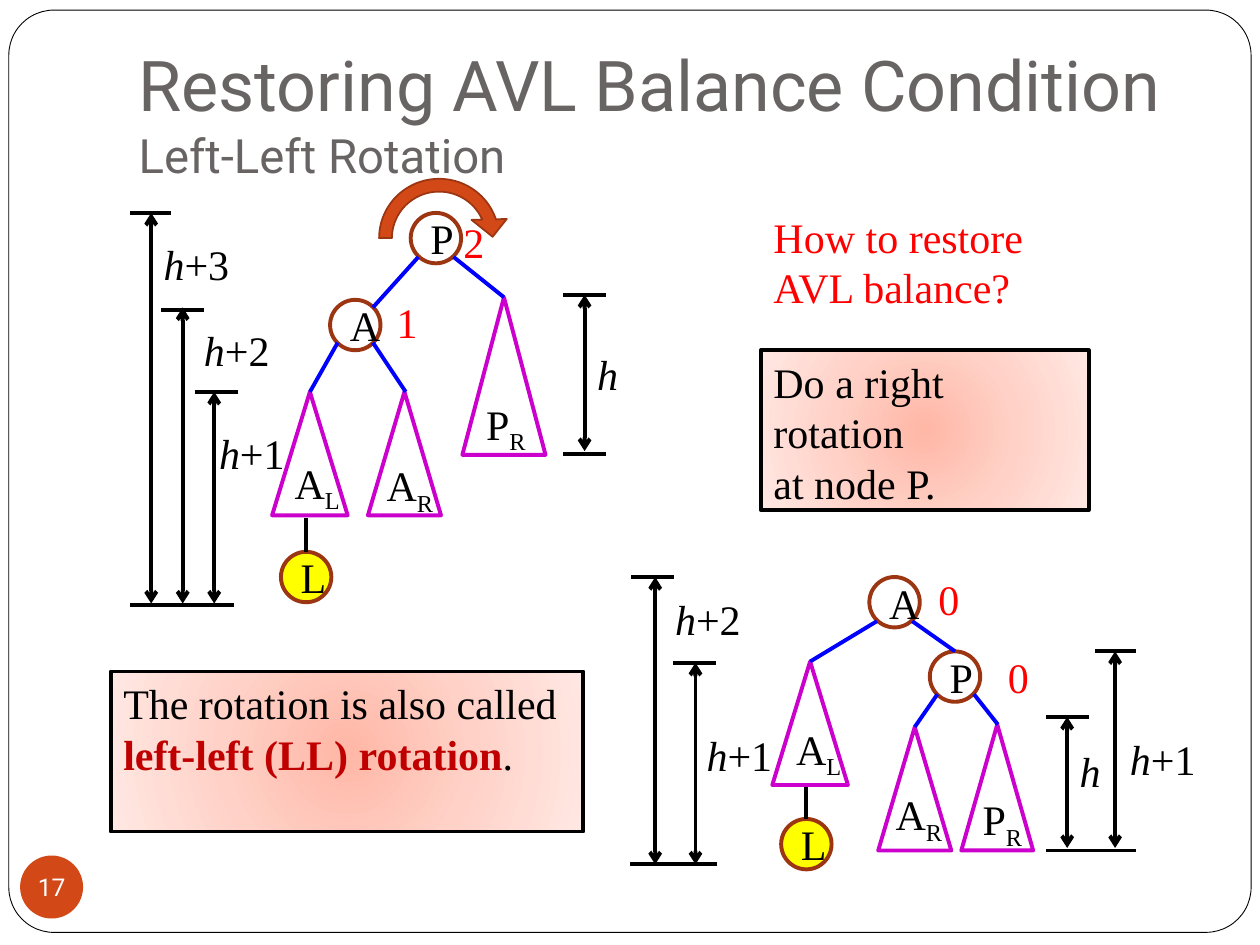
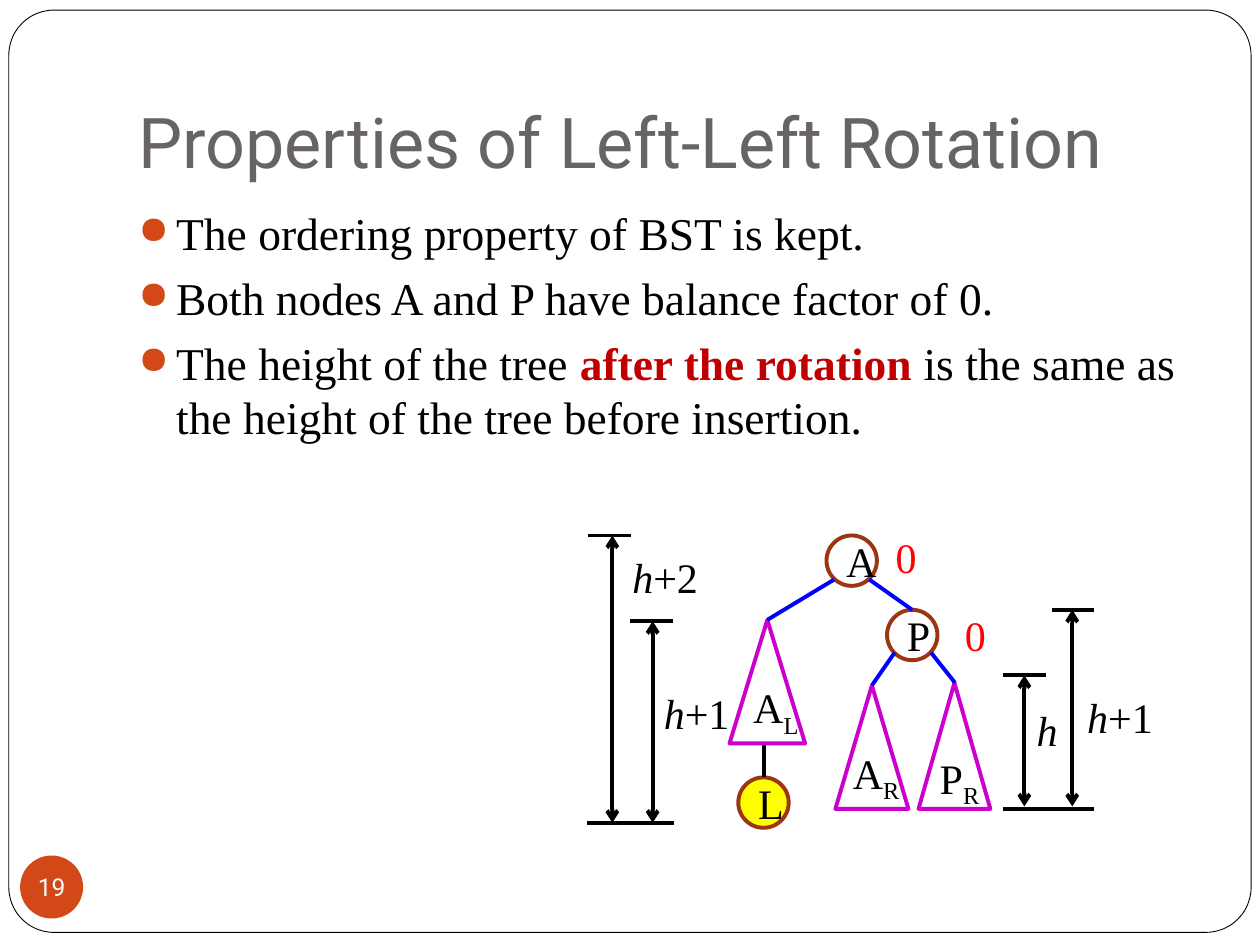
from lxml import etree
from pptx import Presentation
from pptx.dml.color import RGBColor
from pptx.enum import shapes, text
from pptx.oxml import parse_xml
from pptx.oxml.ns import nsdecls, qn
from pptx.util import Inches, Pt

# Shared colours and fonts
BLACK = RGBColor(0, 0, 0)
WHITE = RGBColor(255, 255, 255)
GREY = RGBColor(0x69, 0x64, 0x64)
ORANGE = RGBColor(0xD3, 0x48, 0x17)
BROWN = RGBColor(0x9C, 0x35, 0x11)
PURPLE = RGBColor(0xCC, 0, 0xCC)
BLUE = RGBColor(0, 0, 255)
RED = RGBColor(255, 0, 0)
DARK_RED = RGBColor(0xC0, 0, 0)
YELLOW = RGBColor(255, 255, 0)
SANS, SERIF = "Roboto", "Times New Roman"
GRADIENT = [(0, "FFB7A6"), (50, "FFD1C7"), (100, "FFE8E3")]

MSO = shapes.MSO_SHAPE
TOP, MIDDLE, BOTTOM = (text.MSO_ANCHOR.TOP, text.MSO_ANCHOR.MIDDLE,
                       text.MSO_ANCHOR.BOTTOM)
LEFT, CENTER = text.PP_ALIGN.LEFT, text.PP_ALIGN.CENTER

# Trees: positions in inches on the first slide
before = dict(
    nodes=[("P", 3.26, 1.69), ("A", 2.62, 2.38), ("L", 2.23, 4.38)],
    stem_end=4.11,
    subtrees=[(2.16, 3.11, 0.6, 0.98), (2.92, 3.11, 0.58, 0.98),
              (3.67, 2.36, 0.66, 1.25)],
    names=[("AL", 2.24, 3.58), ("AR", 2.97, 3.6), ("PR", 3.76, 3.11)],
    edges=[(3.32, 2.04, 2.96, 2.44), (2.68, 2.72, 2.46, 3.11),
           (2.96, 2.72, 3.22, 3.11), (3.6, 2.04, 4, 2.36)],
    balances=[("1", 3.05, 2.3), ("2", 3.58, 1.67)],
    # x, top, bottom of each height arrow
    heights=[(4.64, 2.34, 3.58), (1.7, 3.11, 4.79), (1.45, 2.44, 4.79),
             (1.2, 1.69, 4.79)],
    # left, right, y of each end mark
    marks=[(4.47, 4.81, 2.34), (4.47, 4.81, 3.6), (1.03, 1.86, 4.8),
           (1.03, 1.36, 1.69), (1.28, 1.62, 2.46), (1.55, 1.89, 3.11)],
    height_names=[("h", 4.64, 2.72), ("h+1", 1.64, 3.34),
                  ("h+2", 1.52, 2.53), ("h+3", 1.2, 1.84)],
)
after = dict(
    nodes=[("P", 7.38, 5.17), ("A", 6.9, 4.58), ("L", 6.2, 6.5)],
    stem_end=6.23,
    subtrees=[(6.13, 5.25, 0.6, 0.98), (6.97, 5.77, 0.58, 0.98),
              (7.63, 5.75, 0.57, 1)],
    names=[("AL", 6.22, 5.69), ("AR", 7.01, 6.21), ("PR", 7.7, 6.25)],
    edges=[(7.58, 5.17, 7.24, 4.93), (6.96, 4.93, 6.43, 5.25),
           (7.44, 5.51, 7.26, 5.77), (7.73, 5.51, 7.92, 5.75)],
    balances=[("0", 7.9, 5.12), ("0", 7.35, 4.5)],
    heights=[(8.47, 5.69, 6.73), (8.85, 5.17, 6.73), (5.52, 5.26, 6.86),
             (5.2, 4.58, 6.86)],
    marks=[(8.3, 8.64, 5.69), (8.3, 9.02, 6.75), (8.69, 9.02, 5.17),
           (5.34, 5.68, 5.26), (5, 5.69, 6.86), (5.01, 5.35, 4.58)],
    height_names=[("h", 8.47, 5.87), ("h+1", 8.87, 5.77),
                  ("h+1", 5.51, 5.74), ("h+2", 5.26, 4.66)],
)
LABEL_WIDTH = {"AL": 0.56, "AR": 0.59, "PR": 0.57, "h": 0.46}


def write(sp, *runs, size=24, font=SERIF, color=BLACK, align=LEFT, anchor=TOP,
          wrap=True, insets=(0.1, 0.05, 0.1, 0.05)):
    """Add a paragraph; each run is text or (text, format), "\\n" breaks."""
    tf = sp.text_frame
    tf.word_wrap, tf.vertical_anchor = wrap, anchor
    (tf.margin_left, tf.margin_top,
     tf.margin_right, tf.margin_bottom) = map(Inches, insets)
    p = tf.paragraphs[0]
    if p.runs:
        p = tf.add_paragraph()
    p.alignment = align
    for run in runs:
        if run == "\n":
            p.add_line_break()
            continue
        words, fmt = (run, {}) if isinstance(run, str) else run
        r = p.add_run()
        r.text = words
        r.font.name = font
        r.font.size = Pt(fmt.get("size", size))
        r.font.color.rgb = fmt.get("color", color)
        r.font.bold = fmt.get("bold", False)
        r.font.italic = fmt.get("italic", False)
        if fmt.get("sub"):
            r.font._element.set("baseline", "-25000")
    return p


def add(s, kind, *at, fill=None, line=None, width=2.25, arrows=False):
    """Draw a preset shape (left, top, width, height) or a line (x1, y1, x2, y2)."""
    at = [Inches(v) for v in at]
    if kind == "line":
        sp = s.shapes.add_connector(shapes.MSO_CONNECTOR.STRAIGHT, *at)
        etree.SubElement(sp._element.spPr, qn("a:effectLst"))
    else:
        sp = s.shapes.add_shape(kind, *at)
        sp.shadow.inherit = False
        if fill is None:
            sp.fill.background()
        else:
            sp.fill.solid()
            sp.fill.fore_color.rgb = fill
    if line is None:
        sp.line.fill.background()
    else:
        sp.line.color.rgb = line
        sp.line.width = Pt(width)
    if arrows:
        for end in ("a:headEnd", "a:tailEnd"):
            etree.SubElement(sp.line._get_or_add_ln(), qn(end), type="arrow")
    return sp


prs = Presentation()
prs.slide_width, prs.slide_height = Inches(10), Inches(7.5)

# Both slides: frame, title, number, trees with their offsets
pages = [
    (["Restoring AVL Balance Condition", "\n",
      ("Left-Left Rotation", dict(size=27))], "17",
     [(before, 0, 0), (after, 0, 0)]),
    (["Properties of Left-Left Rotation"], "19", [(after, -0.34, -0.33)]),
]
slides = []
for title, number, trees in pages:
    s = prs.slides.add_slide(prs.slide_layouts[5])
    slides.append(s)

    # Frame behind the title
    frame = add(s, MSO.ROUNDED_RECTANGLE, 0.07, 0.08, 9.86, 7.32,
                fill=WHITE, line=BLACK, width=0.5)
    frame.adjustments[0] = 0.049
    s.shapes._spTree.insert(2, frame._element)

    sp = s.shapes.title
    sp.left, sp.top = Inches(1), Inches(0.3)
    sp.width, sp.height = Inches(8.5), Inches(1.25)
    sp.text_frame.auto_size = text.MSO_AUTO_SIZE.NONE
    write(sp, *title, size=40, font=SANS, color=GREY, anchor=BOTTOM,
          insets=(0.1, 0.05, 0.1, 0.1))

    badge = add(s, MSO.OVAL, 0.16, 6.79, 0.5, 0.5, fill=ORANGE)
    write(badge, number, size=14, font=SANS, color=WHITE, align=CENTER,
          anchor=MIDDLE, wrap=False, insets=(0, 0, 0, 0))

    for tree, dx, dy in trees:
        # Nodes, with a stem above the inserted leaf
        for name, x, y in tree["nodes"]:
            node = add(s, MSO.OVAL, x + dx, y + dy, 0.4, 0.4, line=BROWN,
                       fill=YELLOW if name == "L" else None)
            write(node, name, align=CENTER, anchor=MIDDLE)
            if name == "L":
                stem = add(s, "line", x + 0.2 + dx, y + dy,
                           x + 0.2 + dx, tree["stem_end"] + dy, line=BLACK)
                stem.begin_connect(node, 0)

        # Subtrees and edges
        for x, y, w, h in tree["subtrees"]:
            add(s, MSO.ISOSCELES_TRIANGLE, x + dx, y + dy, w, h, line=PURPLE)
        for x1, y1, x2, y2 in tree["edges"]:
            add(s, "line", x1 + dx, y1 + dy, x2 + dx, y2 + dy, line=BLUE)

        # Height arrows and their end marks
        for x, top, bottom in tree["heights"]:
            add(s, "line", x + dx, top + dy, x + dx, bottom + dy,
                line=BLACK, arrows=True)
        for left, right, y in tree["marks"]:
            add(s, "line", left + dx, y + dy, right + dx, y + dy, line=BLACK)

        # Labels of subtrees, balance factors and heights
        for name, x, y in tree["names"] + tree["balances"] + tree["height_names"]:
            color, runs = BLACK, [name[0], (name[1:], dict(sub=True))]
            w = LABEL_WIDTH.get(name, 0.84)
            if name.isdigit():
                color, runs, w = RED, [name], 0.36
            elif name[0] == "h":
                runs = [("h", dict(italic=True))] + [name[1:]] * (len(name) > 1)
            label = s.shapes.add_textbox(Inches(x + dx), Inches(y + dy),
                                         Inches(w), Inches(0.49))
            label.text_frame.auto_size = text.MSO_AUTO_SIZE.SHAPE_TO_FIT_TEXT
            write(label, *runs, color=color, wrap=False)

# First slide: question, answer boxes and rotation arrow
s = slides[0]
question = s.shapes.add_textbox(Inches(6.04), Inches(1.63),
                                Inches(2.62), Inches(0.88))
write(question, "How to restore AVL balance?", color=RED)

boxes = [
    (6.04, 2.78, 2.6, ["Do a right rotation", "\n", "at node P."]),
    (0.88, 5.33, 3.75, ["The rotation is also called ",
                        ("left-left (LL) rotation",
                         dict(color=DARK_RED, bold=True)), "."]),
]
stops = "".join(f'<a:gs pos="{pos * 1000}"><a:srgbClr val="{rgb}"/></a:gs>'
                for pos, rgb in GRADIENT)
for x, y, w, runs in boxes:
    box = add(s, MSO.RECTANGLE, x, y, w, 1.27, fill=WHITE, line=BLACK)
    spPr = box._element.spPr
    spPr.replace(spPr.find(qn("a:solidFill")), parse_xml(
        f'<a:gradFill {nsdecls("a")}><a:gsLst>{stops}</a:gsLst>'
        '<a:path path="circle"><a:fillToRect l="50000" t="50000" r="50000" '
        'b="50000"/></a:path></a:gradFill>'))
    write(box, *runs)

turn = add(s, MSO.CIRCULAR_ARROW, 2.92, 1.33, 1.13, 1.12,
           fill=ORANGE, line=BROWN, width=1)
for i, value in enumerate([0.091, 11.423, 203.717, 108, 0.125]):
    turn.adjustments[i] = value

# Second slide: bullets
s = slides[1]
body = s.shapes.add_textbox(Inches(1), Inches(1.58), Inches(8.5), Inches(5))
for runs in [
    ["The ordering property of BST is kept."],
    ["Both nodes A and P have balance factor of 0."],
    ["The height of the tree ",
     ("after the rotation", dict(color=DARK_RED, bold=True)),
     " is the same as the height of the tree before insertion."],
]:
    p = write(body, *runs, size=26)
    p.space_before = Pt(5.8)
    pPr = p._p.get_or_add_pPr()
    pPr.set("marL", str(Inches(0.3)))
    pPr.set("indent", str(-Inches(0.3)))
    color = etree.SubElement(pPr, qn("a:buClr"))
    etree.SubElement(color, qn("a:srgbClr"), val=str(ORANGE))
    etree.SubElement(pPr, qn("a:buSzPct"), val="85000")
    etree.SubElement(pPr, qn("a:buChar"), char="●")

prs.save("out.pptx")
